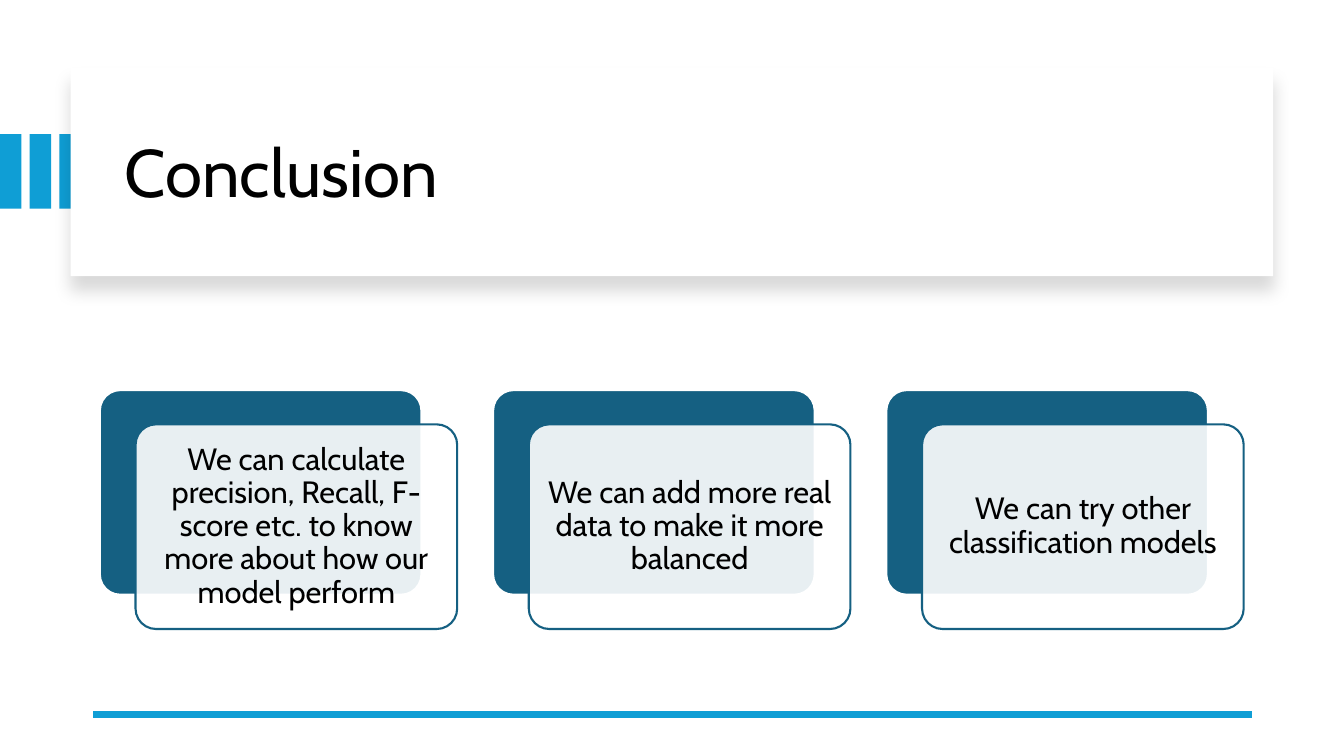
"""Build the conclusion slide with a title panel and three layered cards."""
import lxml.etree
import pptx
import pptx.dml.color
import pptx.enum.shapes
import pptx.enum.text
import pptx.oxml.ns
import pptx.util

Pt = pptx.util.Pt
RGB = pptx.dml.color.RGBColor
SHAPE = pptx.enum.shapes.MSO_SHAPE
ALIGN = pptx.enum.text.PP_ALIGN
qn = pptx.oxml.ns.qn

SKY = RGB(0x0F, 0x9E, 0xD5)
TEAL = RGB(0x15, 0x60, 0x82)
WHITE = RGB(0xFF, 0xFF, 0xFF)
BLACK = RGB(0x00, 0x00, 0x00)

deck = pptx.Presentation()
deck.slide_width = pptx.util.Inches(13.33)
deck.slide_height = pptx.util.Inches(7.5)
slide = deck.slides.add_slide(deck.slide_layouts[6])
col = deck.slide_width / 100
row = deck.slide_height / 100


def block(kind, left, top, wide, high, fill, edge=None):
    """Add a filled shape measured in grid columns and rows."""
    shape = slide.shapes.add_shape(
        kind, int(left * col), int(top * row), int(wide * col), int(high * row))
    shape.shadow.inherit = False
    shape.fill.solid()
    shape.fill.fore_color.rgb = fill
    if edge is None:
        shape.line.fill.background()
    else:
        shape.line.color.rgb = edge
        shape.line.width = Pt(1.5)
    if kind == SHAPE.ROUNDED_RECTANGLE:
        shape.adjustments[0] = 0.1
    return shape


def write(shape, text, size, align):
    """Put one paragraph in the middle of a shape."""
    frame = shape.text_frame
    frame.word_wrap = True
    frame.vertical_anchor = pptx.enum.text.MSO_ANCHOR.MIDDLE
    para = frame.paragraphs[0]
    para.alignment = align
    para.line_spacing = 0.9
    run = para.add_run()
    run.text = text
    run.font.name = "Cabin"
    run.font.size = Pt(size)
    run.font.color.rgb = BLACK
    return frame


for step in range(3):
    block(SHAPE.RECTANGLE, step * 2.21, 17.75, 1.6, 9.87, SKY)

panel = block(SHAPE.RECTANGLE, 5.25, 8.93, 89.48, 27.6, WHITE)
shade = lxml.etree.SubElement(
    panel.element.spPr.find(qn("a:effectLst")), qn("a:outerShdw"),
    blurRad=str(Pt(11)), dist=str(Pt(10)), dir="5400000", rotWithShape="0")
tint = lxml.etree.SubElement(shade, qn("a:srgbClr"), val=str(BLACK))
lxml.etree.SubElement(tint, qn("a:alpha"), val="15000")

title = slide.shapes.add_textbox(
    int(8.55 * col), int(11.87 * row), int(83.48 * col), int(22.67 * row))
write(title, "Conclusion", 48, ALIGN.LEFT)

rule = slide.shapes.add_connector(
    pptx.enum.shapes.MSO_CONNECTOR.STRAIGHT,
    int(93.15 * col), int(94.53 * row), int(6.9 * col), int(94.53 * row))
rule.line.color.rgb = SKY
rule.line.width = Pt(4.5)
lxml.etree.SubElement(rule.element.spPr, qn("a:effectLst"))

points = [
    "We can calculate precision, Recall, F-score etc. to know more about how our model perform",
    "We can add more real data to make it more balanced",
    "We can try other classification models",
]
for step, point in enumerate(points):
    left = 7.43 + step * 29.26
    block(SHAPE.ROUNDED_RECTANGLE, left, 51.6, 23.93, 27.07, TEAL, WHITE)
    card = block(SHAPE.ROUNDED_RECTANGLE, left + 2.66, 56.13, 23.93, 27.07, WHITE, TEAL)
    tint = card.element.spPr.find(qn("a:solidFill"))[0]
    lxml.etree.SubElement(tint, qn("a:alpha"), val="90000")
    frame = write(card, point, 22, ALIGN.CENTER)
    frame.margin_left = frame.margin_right = pptx.util.Inches(0.09)
    frame.margin_top = frame.margin_bottom = pptx.util.Inches(0.09)

deck.save("out.pptx")
